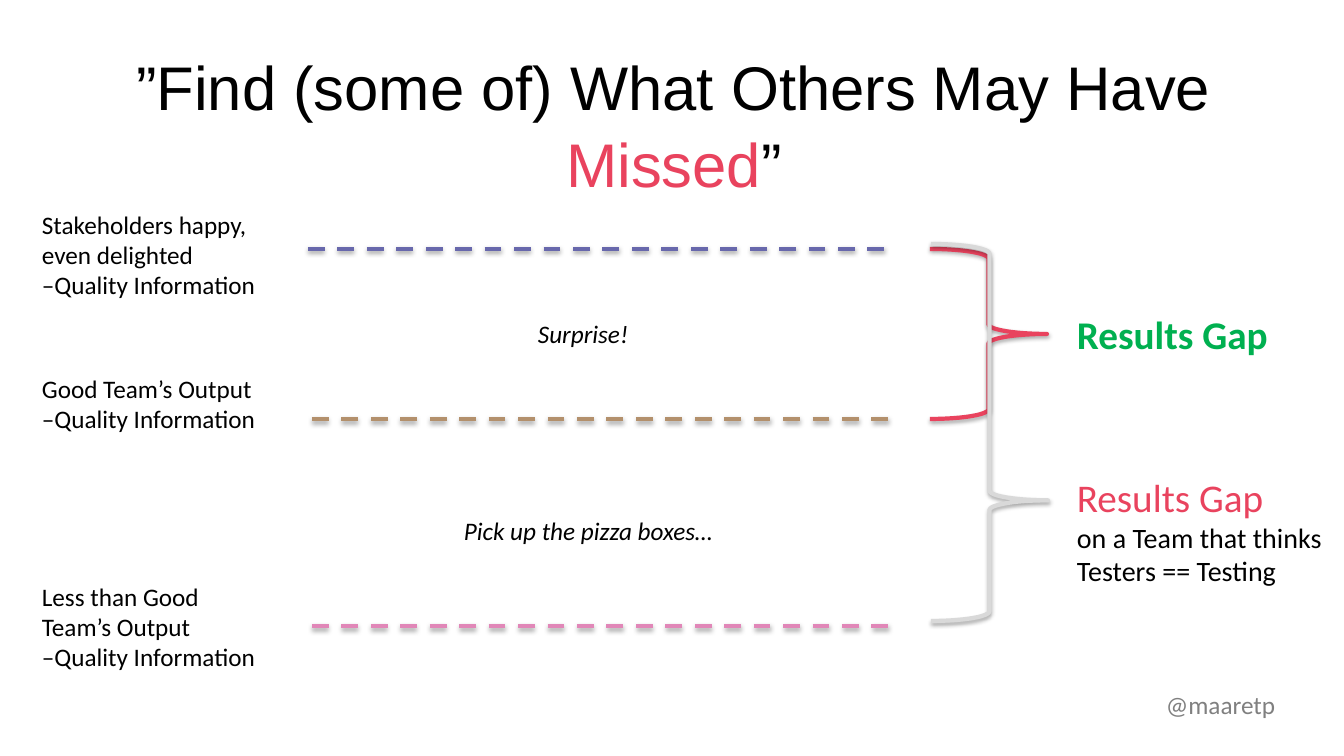
import lxml.etree
import pptx
import pptx.dml.color
import pptx.enum.dml
import pptx.enum.shapes
import pptx.enum.text
import pptx.oxml
import pptx.oxml.ns
import pptx.util

PX = 914400 / 100.8
COLORS = {
    "text": "000000", "handle": "808080", "red": "E9435E", "green": "00B050",
    "grey": "D9D9D9", "delight": "6868AC", "good": "B3906C", "poor": "E187B8",
}
SHADOW = (
    '<a:effectLst xmlns:a="http://schemas.openxmlformats.org/drawingml/2006/main">'
    '<a:outerShdw blurRad="40000" dist="23000" dir="5400000" rotWithShape="0">'
    '<a:srgbClr val="000000"><a:alpha val="35000"/></a:srgbClr>'
    '</a:outerShdw></a:effectLst>'
)


def px(*values):
    return [pptx.util.Emu(round(v * PX)) for v in values]


def rgb(name):
    return pptx.dml.color.RGBColor.from_string(COLORS[name])


def format_font(font, size, color, name="Calibri", bold=False, italic=False):
    font.name, font.size = name, pptx.util.Pt(size)
    font.bold, font.italic = bold, italic
    font.color.rgb = rgb(color)


def format_line(sp, color):
    """Give a connector or brace its 3 pt line and soft shadow."""
    sp.line.color.rgb = rgb(color)
    sp.line.width = pptx.util.Pt(3)
    props = sp._element.spPr
    for old in props.findall(pptx.oxml.ns.qn("a:effectLst")):
        props.remove(old)
    props.append(pptx.oxml.parse_xml(SHADOW))


def add_text(s, box, text, size=18, color="text", **style):
    sp = s.shapes.add_textbox(*px(*box))
    tf = sp.text_frame
    tf.word_wrap = False
    tf.text = text
    for p in tf.paragraphs:
        for r in p.runs:
            format_font(r.font, size, color, **style)
    return tf


def add_title(s, box):
    title = s.shapes.title
    title.left, title.top, title.width, title.height = px(*box)
    tf = title.text_frame
    tf.word_wrap = True
    tf.auto_size = pptx.enum.text.MSO_AUTO_SIZE.NONE
    tf.vertical_anchor = pptx.enum.text.MSO_ANCHOR.TOP
    p = tf.paragraphs[0]
    p.alignment = pptx.enum.text.PP_ALIGN.CENTER
    p.line_spacing = 1.05
    for text, color in (("”Find (some of) What Others May Have ", "text"),
                        ("Missed", "red"), ("”", "text")):
        r = p.add_run()
        r.text = text
        format_font(r.font, 44, color, name="Arial")


def add_level(s, box, line_x, line_y, text, color):
    """Place an output level: its label in box and its dashed line."""
    line = s.shapes.add_connector(
        pptx.enum.shapes.MSO_CONNECTOR.STRAIGHT,
        *px(line_x, line_y, line_x + 583, line_y))
    format_line(line, color)
    line.line.dash_style = pptx.enum.dml.MSO_LINE.DASH
    add_text(s, box, text + "\n–Quality Information")


def add_brace(s, box, color, point):
    """Draw a right brace whose point lies at a share of its height."""
    sp = s.shapes.add_shape(pptx.enum.shapes.MSO_SHAPE.RIGHT_BRACE, *px(*box))
    sp.adjustments[0], sp.adjustments[1] = 0.083, point
    sp.fill.background()
    format_line(sp, color)


def add_upper_gap(s, box):
    x, y, w, h = box
    add_text(s, (x + 137, y + 56, 240, 57), "Results Gap", 28, "green", bold=True)
    add_brace(s, box, "red", 0.5)
    add_text(s, (x - 402, y + 64, 111, 40), "Surprise!", italic=True)


def add_lower_gap(s, box):
    x, y, w, h = box
    add_brace(s, box, "grey", 0.68)
    tf = add_text(s, (x + 136, y + 224, 271, 126),
                  "Results Gap\non a Team that thinks\nTesters == Testing", 20)
    format_font(tf.paragraphs[0].runs[0].font, 28, "red")
    add_text(s, (x - 477, y + 266, 279, 40), "Pick up the pizza boxes…", italic=True)


def main():
    prs = pptx.Presentation()
    prs.slide_width, prs.slide_height = px(1344, 756)
    s = prs.slides.add_slide(prs.slide_layouts[5])
    add_title(s, (20, 40, 1308, 85))
    add_text(s, (1156, 684, 137, 40), "@maaretp", color="handle")
    for top, height, line_x, line_y, text, color in (
            (204, 102, 308, 249, "Stakeholders happy,\veven delighted", "delight"),
            (368, 72, 312, 419, "Good Team’s Output", "good"),
            (576, 102, 312, 626, "Less than Good\vTeam’s Output", "poor")):
        add_level(s, (32, top, 236, height), line_x, line_y, text, color)
    add_upper_gap(s, (930, 249, 117, 170))
    add_lower_gap(s, (931, 244, 117, 377))
    prs.save("out.pptx")


if __name__ == "__main__":
    main()
